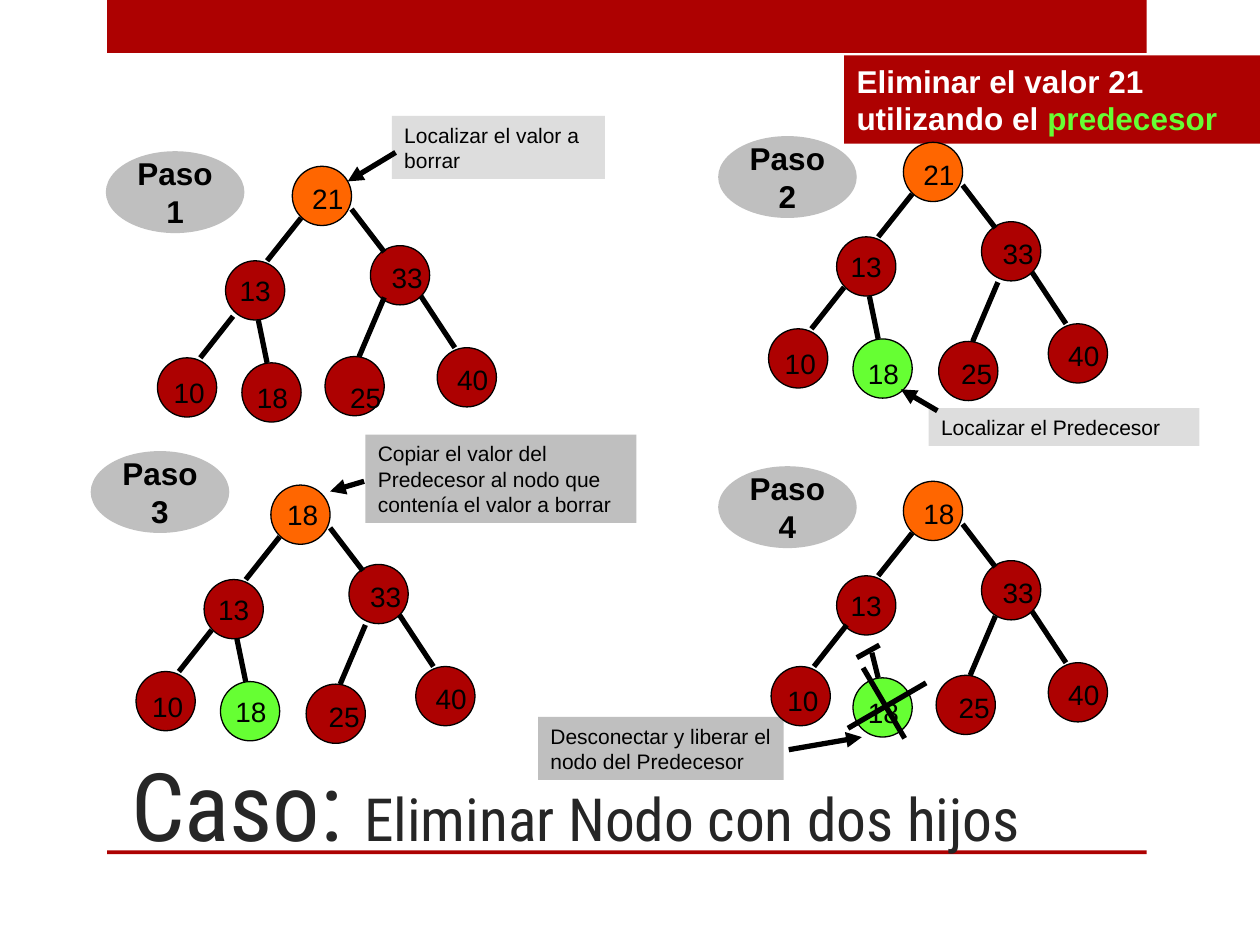
from lxml import etree
from pptx import Presentation
from pptx.dml.color import RGBColor
from pptx.enum.shapes import MSO_CONNECTOR, MSO_SHAPE
from pptx.enum.text import MSO_ANCHOR, MSO_AUTO_SIZE, PP_ALIGN
from pptx.oxml.ns import qn
from pptx.util import Inches, Pt

RECT, OVAL = MSO_SHAPE.RECTANGLE, MSO_SHAPE.OVAL
STRAIGHT = MSO_CONNECTOR.STRAIGHT
TOP, MIDDLE, BOTTOM = MSO_ANCHOR.TOP, MSO_ANCHOR.MIDDLE, MSO_ANCHOR.BOTTOM
LEFT, CENTER = PP_ALIGN.LEFT, PP_ALIGN.CENTER
NO_FIT, GROW = MSO_AUTO_SIZE.NONE, MSO_AUTO_SIZE.SHAPE_TO_FIT_TEXT

RED, ORANGE, GREEN = "AD0101", "FF6600", "66FF33"
BLACK, WHITE, INK = "000000", "FFFFFF", "262626"
LIGHT, GRAY = "DDDDDD", "BFBFBF"
NODE = 0.47

# Node positions are offsets from the root's corner.
# Edges: where the edge ends on the node, and its run from start to end.
OFFSETS = {"root": (0, 0), "13": (-0.53, 0.75), "33": (0.62, 0.63),
           "10": (-1.07, 1.48), "18": (-0.4, 1.56), "25": (0.28, 1.58),
           "40": (1.15, 1.44)}
EDGES = {"13": ((0.33, 0), (-0.27, 0.34)), "10": ((0.34, 0), (-0.26, 0.33)),
         "33": ((0.11, 0.05), (0.26, 0.34)), "40": ((0.14, 0), (0.27, 0.41)),
         "18": ((0.2, 0), (0.07, 0.34)), "25": ((0.27, 0), (-0.2, 0.47))}
# Labels: offset from the node's corner, and width.
LABELS = {"root": (0.06, 0.07, 0.47), "10": (0.03, 0.09, 0.54),
          "18": (0.02, 0.09, 0.54), "25": (0.08, 0.07, 0.54),
          "40": (0.06, 0.07, 0.47), "33": (0.07, 0.07, 0.6)}


def color(value):
    return RGBColor.from_string(value)


class Board:
    font = "Arial"

    def __init__(self, page):
        self.page = page
        self.shapes = page.shapes

    def start_step(self):
        self.shapes = self.page.shapes.add_group_shape().shapes

    def end_step(self):
        self.shapes = self.page.shapes

    def add_text(self, box, paragraphs, align=LEFT, anchor=TOP, wrap=True,
                 fit=NO_FIT, font=None):
        """Each paragraph is a list of (text, size, color, bold) spans."""
        frame = box.text_frame
        frame.word_wrap = wrap
        frame.auto_size = fit
        frame.vertical_anchor = anchor
        for index, spans in enumerate(paragraphs):
            para = frame.add_paragraph() if index else frame.paragraphs[0]
            para.alignment = align
            for text, size, ink, bold in spans:
                span = para.add_run()
                span.text = text
                span.font.name = font or self.font
                span.font.size = Pt(size)
                span.font.bold = bold
                span.font.color.rgb = color(ink)

    def title(self, place, spans):
        box = self.page.shapes.title
        box.left, box.top, box.width, box.height = map(Inches, place)
        self.add_text(box, [spans], anchor=BOTTOM, font="Roboto Condensed")
        return box

    def shape(self, kind, place, fill, outline=False):
        box = self.shapes.add_shape(kind, *map(Inches, place))
        box.shadow.inherit = False
        box.fill.solid()
        box.fill.fore_color.rgb = color(fill)
        if outline:
            box.line.color.rgb = color(BLACK)
            box.line.width = Pt(0.75)
        else:
            box.line.fill.background()
        return box

    def line(self, start, end, arrow=False):
        edge = self.shapes.add_connector(STRAIGHT, *map(Inches, (*start, *end)))
        edge.line.color.rgb = color(BLACK)
        edge.line.width = Pt(3)
        properties = edge.element.spPr
        if arrow:
            outline = properties.find(qn("a:ln"))
            etree.SubElement(outline, qn("a:tailEnd"), type="triangle")
        etree.SubElement(properties, qn("a:effectLst"))

    def note(self, place, fill, spans):
        self.add_text(self.shape(RECT, place, fill), [spans], fit=GROW)

    def callout(self, place, fill, text, start, end):
        self.note(place, fill, [(text, 12, BLACK, False)])
        self.line(start, end, arrow=True)

    def badge(self, left, top, number):
        oval = self.shape(OVAL, (left, top, 1.1, 0.65), GRAY)
        rows = [[(text, 18, BLACK, True)] for text in ("Paso", number)]
        self.add_text(oval, rows, CENTER, MIDDLE, wrap=False)

    def tree(self, left, top, root, leaf_fill, moved=None, labels=None,
             edges=None):
        offsets = OFFSETS | (moved or {})
        spots = {name: (left + x, top + y) for name, (x, y) in offsets.items()}
        fills = {"root": ORANGE, "18": leaf_fill}
        # Nodes
        for name, spot in spots.items():
            node = self.shape(OVAL, (*spot, NODE, NODE), fills.get(name, RED), True)
            if name == "13":
                self.add_text(node, [[(name, 16, BLACK, False)]], CENTER, MIDDLE,
                              wrap=False)
        # Edges
        for name, ((dx, dy), (run, drop)) in (EDGES | (edges or {})).items():
            x, y = spots[name][0] + dx, spots[name][1] + dy
            self.line((x - run, y - drop), (x, y))
        # Values
        for name, (dx, dy, width) in (LABELS | (labels or {})).items():
            x, y = spots[name]
            label = self.shapes.add_textbox(
                *map(Inches, (x + dx, y + dy, width, 0.37)))
            text = root if name == "root" else name
            self.add_text(label, [[(text, 16, BLACK, False)]], fit=GROW)


deck = Presentation()
deck.slide_width, deck.slide_height = Inches(10), Inches(7.5)
page = deck.slides.add_slide(deck.slide_layouts[5])
board = Board(page)

# Title over the red bars
title = board.title((0.94, 4.86, 7.83, 2.02),
                    [("Caso: ", 54, INK, False),
                     ("Eliminar Nodo con dos hijos", 34, INK, False)])
for top, height in ((0, 0.42), (6.75, 0.03)):
    bar = board.shape(RECT, (0.85, top, 8.25, height), RED)
    title.element.addprevious(bar.element)

# Step 1: find the value
board.start_step()
board.tree(2.32, 1.32, "21", RED,
           moved={"10": (-1.07, 1.52), "25": (0.26, 1.51)},
           labels={"25": (0.1, 0.14, 0.54)})
board.callout((3.11, 0.92, 1.69, 0.5), LIGHT, "Localizar el valor a borrar",
              (3.14, 1.21), (2.76, 1.44))
board.badge(0.84, 1.2, "1")
board.end_step()

# Heading of the exercise
board.note((6.7, 0.44, 3.3, 0.7), RED,
           [("Eliminar el valor 21 utilizando el ", 18, WHITE, True),
            ("predecesor", 18, GREEN, True)])

# Step 2: find the predecessor
board.start_step()
board.tree(7.17, 1.13, "21", GREEN)
board.callout((7.37, 3.24, 2.15, 0.3), LIGHT, "Localizar el Predecesor",
              (7.44, 3.26), (7.15, 3.09))
board.badge(5.7, 1.08, "2")

# Step 3: copy the value
board.start_step()
board.tree(2.15, 3.85, "18", GREEN,
           labels={"root": (0.03, 0.05, 0.47), "18": (0.02, 0.05, 0.54)})
board.callout((2.9, 3.45, 2.15, 0.7), GRAY,
              "Copiar el valor del Predecesor al nodo que contenía el valor a borrar",
              (2.89, 3.82), (2.62, 3.9))
board.badge(0.72, 3.58, "3")

# Step 4: disconnect and free the predecessor
board.start_step()
board.callout((4.27, 5.69, 1.95, 0.5), GRAY,
              "Desconectar y liberar el nodo del Predecesor",
              (6.26, 5.95), (6.84, 5.85))
board.tree(7.17, 3.82, "18", GREEN,
           moved={"10": (-1.05, 1.47), "25": (0.26, 1.54)},
           edges={"18": ((0.2, 0), (0.05, 0.2))})
board.badge(5.7, 3.7, "4")
for start, end in (((6.8, 5.22), (6.98, 5.12)),
                   ((6.85, 5.3), (7.18, 5.86)),
                   ((6.73, 5.78), (7.35, 5.42))):
    board.line(start, end)

deck.save("out.pptx")
